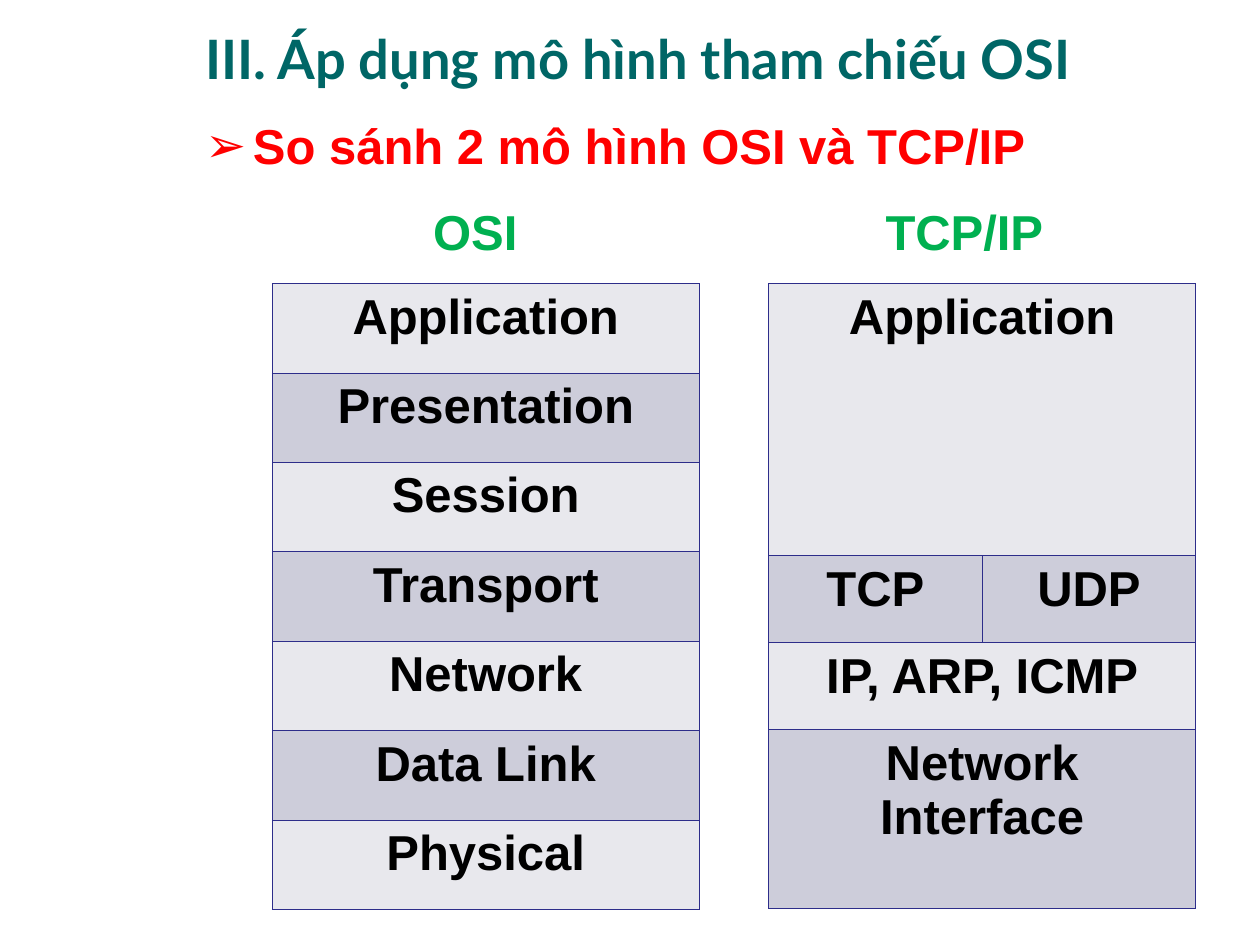
from lxml.etree import SubElement
from pptx import Presentation
from pptx.dml.color import RGBColor
from pptx.enum.text import MSO_ANCHOR, PP_ALIGN
from pptx.oxml.ns import qn
from pptx.util import Inches, Pt

COLORS = {
    "title": "006666",
    "subtitle": "FF0000",
    "heading": "00B050",
    "text": "000000",
    "border": "2D2D8A",
    "light": "E8E8ED",
    "dark": "CDCDDA",
}


def add_run(p, text, color, size=28, font="Arial"):
    """Add one bold run to a paragraph."""
    r = p.add_run()
    r.text = text
    r.font.size = Pt(size)
    r.font.name = font
    r.font.bold = True
    r.font.color.rgb = RGBColor.from_string(COLORS[color])


def add_box(slide, box):
    """Add a wrapping text box and return its text frame."""
    tf = slide.shapes.add_textbox(*map(Inches, box)).text_frame
    tf.word_wrap = True
    return tf


def add_title(slide, box):
    """Place the slide title, centred vertically in the box."""
    tf = add_box(slide, box)
    tf.vertical_anchor = MSO_ANCHOR.MIDDLE
    add_run(tf.paragraphs[0], "III. Áp dụng mô hình tham chiếu OSI", "title", 31, "Lato")


def add_subtitle(slide, box):
    """Place the line with the arrow bullet."""
    p = add_box(slide, box).paragraphs[0]
    p.line_spacing = Pt(25)
    pPr = p._p.get_or_add_pPr()
    pPr.set("marL", str(Inches(0.38)))
    pPr.set("indent", str(Inches(-0.38)))
    color = SubElement(pPr, qn("a:buClr"))
    SubElement(color, qn("a:srgbClr"), val=COLORS["subtitle"])
    SubElement(pPr, qn("a:buFont"), typeface="Arial")
    SubElement(pPr, qn("a:buChar"), char="➢")
    add_run(p, "So sánh 2 mô hình OSI và TCP/IP", "subtitle")


def add_headings(slide, box, stops):
    """Place the two model names at tab stops above the tables."""
    p = add_box(slide, box).paragraphs[0]
    tabs = SubElement(p._p.get_or_add_pPr(), qn("a:tabLst"))
    for stop in stops:
        SubElement(tabs, qn("a:tab"), pos=str(Inches(stop)), algn="l")
    add_run(p, "\tOSI\tTCP/IP", "heading")


def style_cell(cell, fill):
    """Give a cell thin borders and a solid fill."""
    tcPr = cell._tc.get_or_add_tcPr()
    for side in ("lnL", "lnR", "lnT", "lnB"):
        ln = SubElement(tcPr, qn(f"a:{side}"), w=str(Pt(0.45)))
        SubElement(SubElement(ln, qn("a:solidFill")), qn("a:srgbClr"), val=COLORS["border"])
    cell.fill.solid()
    cell.fill.fore_color.rgb = RGBColor.from_string(COLORS[fill])


def add_layers(slide, box, rows, heights):
    """Place a stack of layers, where a short row spans all columns."""
    n_cols = max(map(len, rows))
    table = slide.shapes.add_table(len(rows), n_cols, *map(Inches, box)).table
    for column in table.columns:
        column.width = Inches(box[2] / n_cols)
    for i, (names, height) in enumerate(zip(rows, heights)):
        table.rows[i].height = Inches(height)
        for j in range(n_cols):
            style_cell(table.cell(i, j), "dark" if i % 2 else "light")
        if len(names) < n_cols:
            table.cell(i, 0).merge(table.cell(i, n_cols - 1))
        for j, name in enumerate(names):
            p = table.cell(i, j).text_frame.paragraphs[0]
            p.alignment = PP_ALIGN.CENTER
            add_run(p, name, "text")


def main():
    """Build the slide and save it."""
    prs = Presentation()
    prs.slide_width, prs.slide_height = Inches(10), Inches(7.5)
    slide = prs.slides.add_slide(prs.slide_layouts[6])
    add_title(slide, (1.53, 0, 8.47, 0.92))
    add_subtitle(slide, (1.53, 0.99, 7.73, 0.63))
    osi = ["Application", "Presentation", "Session", "Transport", "Network", "Data Link", "Physical"]
    add_layers(slide, (2.16, 2.25, 3.39, 4.97), [[name] for name in osi], [0.71] * len(osi))
    tcp_ip = [["Application"], ["TCP", "UDP"], ["IP, ARP, ICMP"], ["Network Interface"]]
    add_layers(slide, (6.1, 2.25, 3.39, 4.96), tcp_ip, [2.16, 0.69, 0.69, 1.42])
    add_headings(slide, (1.93, 1.55, 7.73, 0.63), (1.41, 5))
    prs.save("out.pptx")


if __name__ == "__main__":
    main()
